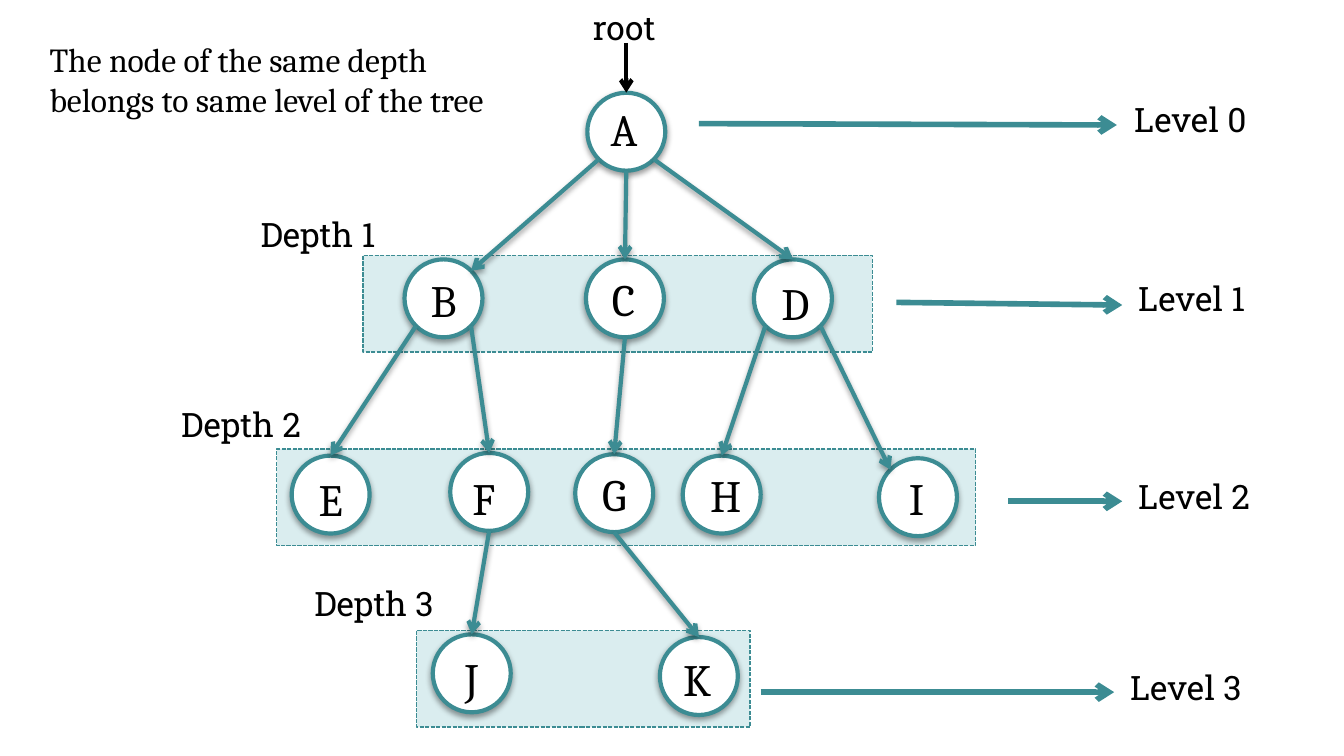
from dataclasses import dataclass
from math import sqrt

from lxml.etree import SubElement
from pptx import Presentation
from pptx.dml.color import RGBColor
from pptx.enum.dml import MSO_LINE
from pptx.enum.shapes import MSO_CONNECTOR, MSO_SHAPE
from pptx.enum.text import MSO_AUTO_SIZE, PP_ALIGN
from pptx.oxml.ns import qn
from pptx.util import Inches, Pt


@dataclass(frozen=True)
class Theme:
    ink: RGBColor = RGBColor(0, 0, 0)
    paper: RGBColor = RGBColor(255, 255, 255)
    teal: RGBColor = RGBColor(0x3C, 0x8C, 0x93)
    tint: RGBColor = RGBColor(0xDA, 0xED, 0xEF)
    serif: str = "Cambria"
    slab: str = "Roboto Slab"
    body: int = 18
    letter: int = 24
    hairline: float = 0.75
    stroke: float = 2.25
    heavy: float = 3


def cells(n):
    """Length of n grid cells; the slide is 100 columns wide."""
    return Inches(n / 10)


COLUMNS = 100
ROWS = COLUMNS * 9 / 16
NODE = 5.8
BAND_HEIGHT = 7.2
LABEL_WIDTH, LABEL_HEIGHT = 11.9, 4
DIAGONAL = sqrt(0.5)

# Directions from a node's centre to the points where edges meet its rim.
RIM = {
    "top": (0, -1), "bottom": (0, 1),
    "top left": (-DIAGONAL, -DIAGONAL), "top right": (DIAGONAL, -DIAGONAL),
    "bottom left": (-DIAGONAL, DIAGONAL), "bottom right": (DIAGONAL, DIAGONAL),
}

# Band: left, top, width; then its depth label: text, left, top.
BANDS = [
    (27, 19, 37.9, "Depth 1", 18.4, 15.4),
    (20.6, 33.4, 52, "Depth 2", 12.5, 29.6),
    (31, 46.9, 24.8, "Depth 3", 22.4, 42.9),
]

# Node: centre, then the offset of its letter from the centre.
NODES = {
    "A": (46.6, 9.8, -0.2, -0.2),
    "B": (33, 22.2, 0, 0.1),
    "C": (46.5, 22.2, -0.1, 0),
    "D": (59, 22.2, 0.1, 0.3),
    "E": (24.6, 36.8, 0, 0.3),
    "F": (36.4, 36.6, -0.4, 0.4),
    "G": (45.7, 36.7, 0, 0),
    "H": (53.7, 36.8, 0.1, 0),
    "I": (68.3, 37, -0.1, 0),
    "J": (35.1, 50.1, 0, 0.3),
    "K": (52, 50.3, -0.2, 0.2),
}

# Edge: parent, rim point left from, child, rim point reached.
EDGES = [
    ("A", "bottom left", "B", "top right"),
    ("A", "bottom", "C", "top"),
    ("A", "bottom right", "D", "top"),
    ("B", "bottom left", "E", "top"),
    ("B", "bottom right", "F", "top"),
    ("C", "bottom", "G", "top"),
    ("D", "bottom left", "H", "top"),
    ("D", "bottom right", "I", "top left"),
    ("F", "bottom", "J", "top"),
    ("G", "bottom", "K", "top"),
]

# Level: arrow start, arrow end, label left and top.
LEVELS = [
    ((52, 9.2), (83.1, 9.3), 83.4, 6.9),
    ((66.7, 22.5), (83.5, 22.7), 83.7, 20.2),
    ((75, 37.3), (83.5, 37.3), 83.7, 34.9),
    ((56.6, 51.5), (82.9, 51.5), 83.1, 49.1),
]


class TreeSlide:
    def __init__(self, prs, theme):
        self.theme = theme
        self.s = prs.slides.add_slide(prs.slide_layouts[6])
        self.nodes = {}

    def effect(self, sp, shadow):
        """Replace the theme's shadow by a soft one below, or by none."""
        effects = SubElement(sp._element.spPr, qn("a:effectLst"))
        if shadow:
            outer = SubElement(effects, qn("a:outerShdw"), blurRad="40000",
                               dist="20000", dir="5400000", rotWithShape="0")
            black = SubElement(outer, qn("a:srgbClr"), val=str(self.theme.ink))
            SubElement(black, qn("a:alpha"), val="38000")

    def shape(self, kind, x, y, w, h, fill, weight, dash=None, shadow=False):
        sp = self.s.shapes.add_shape(kind, *map(cells, (x, y, w, h)))
        sp.fill.solid()
        sp.fill.fore_color.rgb = fill
        sp.line.color.rgb = self.theme.teal
        sp.line.width = Pt(weight)
        if dash:
            sp.line.dash_style = dash
        self.effect(sp, shadow)
        return sp

    def text(self, text, x, y, w, h, font, size, wrap=True, align=PP_ALIGN.LEFT):
        tf = self.s.shapes.add_textbox(*map(cells, (x, y, w, h))).text_frame
        tf.text = text
        tf.word_wrap = wrap
        tf.auto_size = MSO_AUTO_SIZE.SHAPE_TO_FIT_TEXT
        p = tf.paragraphs[0]
        p.alignment = align
        r = p.runs[0]
        r.font.name = font
        r.font.size = Pt(size)
        r.font.color.rgb = self.theme.ink

    def label(self, text, x, y):
        self.text(text, x, y, LABEL_WIDTH, LABEL_HEIGHT,
                  self.theme.slab, self.theme.body)

    def arrow(self, start, end, color, weight, shadow=False):
        line = self.s.shapes.add_connector(
            MSO_CONNECTOR.STRAIGHT, *map(cells, (*start, *end)))
        line.line.color.rgb = color
        line.line.width = Pt(weight)
        SubElement(line.line._get_or_add_ln(), qn("a:tailEnd"), type="arrow")
        self.effect(line, shadow)
        return line

    def band(self, x, y, w):
        self.shape(MSO_SHAPE.RECTANGLE, x, y, w, BAND_HEIGHT, self.theme.tint,
                   self.theme.hairline, dash=MSO_LINE.SQUARE_DOT)

    def node(self, name, x, y, dx, dy):
        self.nodes[name] = self.shape(
            MSO_SHAPE.OVAL, x - NODE / 2, y - NODE / 2, NODE, NODE,
            self.theme.paper, self.theme.stroke, shadow=True)
        w, h = 3.9, 5
        self.text(name, x + dx - w / 2, y + dy - h / 2, w, h, self.theme.serif,
                  self.theme.letter, wrap=False, align=PP_ALIGN.CENTER)

    def edge(self, parent, leave, child, reach):
        start, end = (
            [c + NODE / 2 * d for c, d in zip(NODES[name][:2], RIM[point])]
            for name, point in ((parent, leave), (child, reach)))
        line = self.arrow(start, end, self.theme.teal, self.theme.stroke, shadow=True)
        if reach == "top":
            line.end_connect(self.nodes[child], 0)

    def root(self, name):
        x, y = NODES[name][:2]
        self.text("root", 43.1, 0, 6.7, LABEL_HEIGHT, self.theme.slab,
                  self.theme.body, wrap=False, align=PP_ALIGN.CENTER)
        line = self.arrow((x, 3.2), (x, y - NODE / 2),
                          self.theme.ink, self.theme.stroke)
        line.end_connect(self.nodes[name], 0)


def main():
    prs = Presentation()
    prs.slide_width, prs.slide_height = cells(COLUMNS), cells(ROWS)
    theme = Theme()
    tree = TreeSlide(prs, theme)

    for x, y, w, depth, label_x, label_y in BANDS:
        tree.band(x, y, w)
        tree.label(depth, label_x, label_y)
    for name, place in NODES.items():
        tree.node(name, *place)
    for edge in EDGES:
        tree.edge(*edge)
    tree.root("A")
    for level, (start, end, x, y) in enumerate(LEVELS):
        tree.arrow(start, end, theme.teal, theme.heavy)
        tree.label(f"Level {level}", x, y)
    tree.text("The node of the same depth belongs to same level of the tree",
              2.7, 2.4, 36.1, 7.1, theme.serif, theme.body)

    prs.save("out.pptx")


if __name__ == "__main__":
    main()
